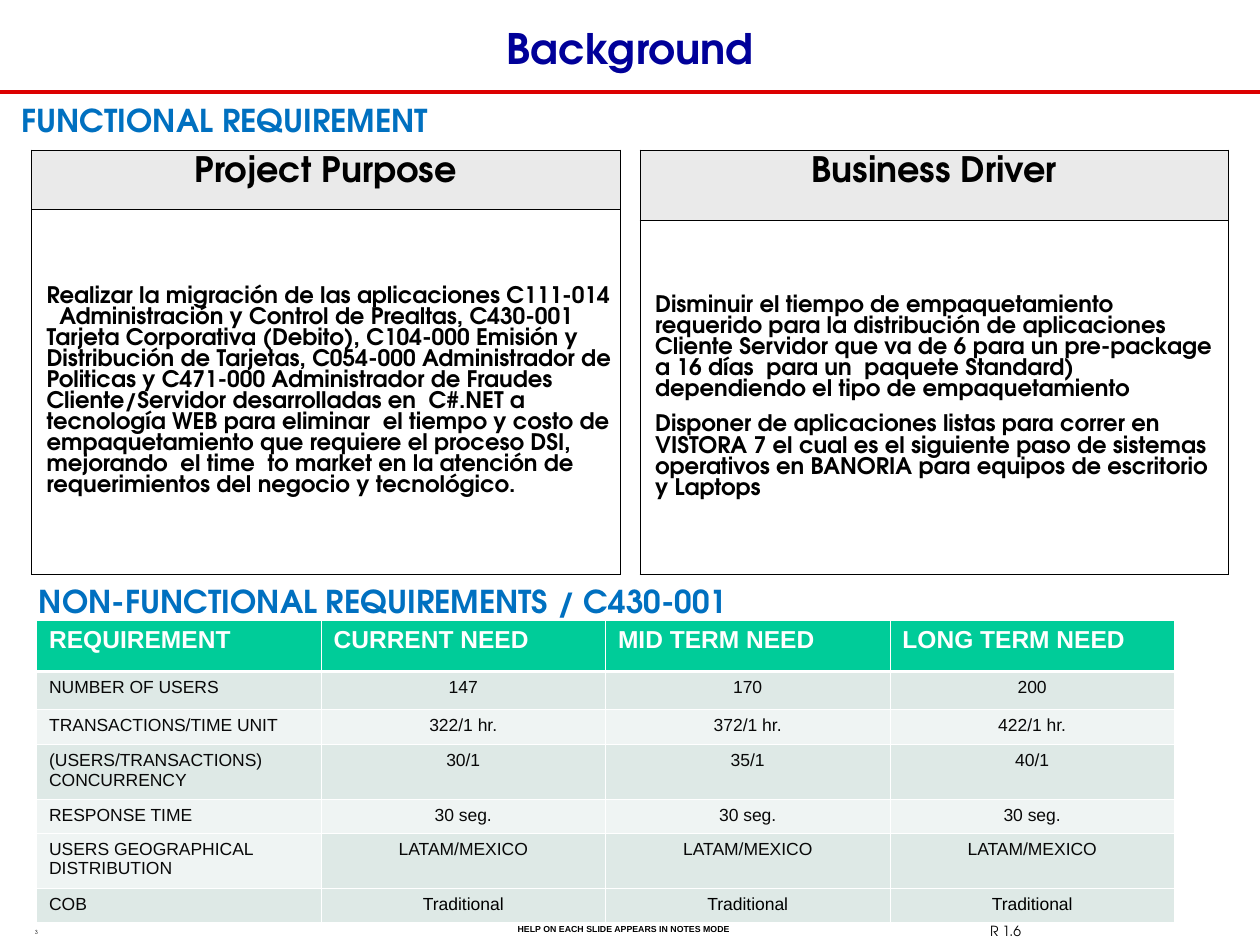
from lxml.etree import SubElement
from pptx import Presentation
from pptx.dml.color import RGBColor
from pptx.enum.shapes import MSO_CONNECTOR
from pptx.enum.text import MSO_ANCHOR, PP_ALIGN
from pptx.oxml.ns import qn
from pptx.util import Inches, Pt

BLACK = RGBColor(0, 0, 0)
WHITE = RGBColor(255, 255, 255)
NAVY = RGBColor(0, 0, 0x99)
RED = RGBColor(0xDC, 0, 0)
BLUE = RGBColor(0, 0x70, 0xC0)
GRAY = RGBColor(0xEA, 0xEA, 0xEA)
GREEN = RGBColor(0, 0xCC, 0x99)
DARK_BAND = RGBColor(0xDE, 0xE9, 0xE6)
LIGHT_BAND = RGBColor(0xEF, 0xF4, 0xF3)
INK = RGBColor(8, 8, 8)

DISPLAY = "TeX Gyre Adventor"
PLAIN = "Arial"
THIN, THICK = 0.45, 1.47

PURPOSE = [
    "Realizar la migración de las aplicaciones C111-014   Administración y Control de "
    "Prealtas, C430-001 Tarjeta Corporativa (Debito), C104-000 Emisión y Distribución de "
    "Tarjetas, C054-000 Administrador de Politicas y C471-000 Administrador de Fraudes "
    "Cliente/Servidor desarrolladas en  C#.NET a tecnología WEB para eliminar  el tiempo y "
    "costo de empaquetamiento que requiere el proceso DSI,  mejorando  el time  to market "
    "en la atención de requerimientos del negocio y tecnológico.",
]
DRIVER = [
    "Disminuir el tiempo de empaquetamiento requerido para la distribución de aplicaciones "
    "Cliente Servidor que va de 6 para un pre-package  a 16 días  para un  paquete Standard) "
    "dependiendo el tipo de empaquetamiento",
    "Disponer de aplicaciones listas para correr en VISTORA 7 el cual es el siguiente paso "
    "de sistemas operativos en BANORIA para equipos de escritorio y Laptops",
]
NEEDS = [
    ["REQUIREMENT", "CURRENT NEED", "MID TERM NEED", "LONG TERM NEED"],
    ["NUMBER OF USERS", "147", "170", "200"],
    ["TRANSACTIONS/TIME UNIT", "322/1 hr.", "372/1 hr.", "422/1 hr."],
    ["(USERS/TRANSACTIONS) CONCURRENCY", "30/1", "35/1", "40/1"],
    ["RESPONSE TIME"] + ["30 seg."] * 3,
    ["USERS GEOGRAPHICAL DISTRIBUTION"] + ["LATAM/MEXICO"] * 3,
    ["COB"] + ["Traditional"] * 3,
]
NEED_HEIGHTS = [0.41, 0.3, 0.28, 0.43, 0.27, 0.43, 0.27]


def write(frame, lines, size, color, font=DISPLAY, bold=False,
          align=PP_ALIGN.LEFT, spacing=None, gap=0):
    frame.text = "\n".join(lines)
    for index, para in enumerate(frame.paragraphs):
        para.alignment = align
        if spacing:
            para.line_spacing = spacing
        if index:
            para.space_before = Pt(gap)
        for span in para.runs:
            span.font.name = font
            span.font.size = Pt(size)
            span.font.bold = bold
            span.font.color.rgb = color


def add_text(page, left, top, width, height, text, size, color,
             wrap=True, anchor=MSO_ANCHOR.TOP, **style):
    box = page.shapes.add_textbox(Inches(left), Inches(top), Inches(width), Inches(height))
    frame = box.text_frame
    frame.word_wrap = wrap
    frame.vertical_anchor = anchor
    write(frame, [text], size, color, **style)


def add_rule(page, top):
    rule = page.shapes.add_connector(
        MSO_CONNECTOR.STRAIGHT, 0, Inches(top), Inches(10), Inches(top))
    rule.line.color.rgb = RED
    rule.line.width = Pt(2.5)
    SubElement(rule._element.spPr, qn("a:effectLst"))


def set_borders(cell, color, top=THIN, bottom=THIN):
    """Border elements have to come before the fill in the cell properties."""
    props = cell._tc.get_or_add_tcPr()
    widths = {"a:lnL": THIN, "a:lnR": THIN, "a:lnT": top, "a:lnB": bottom}
    for index, (tag, width) in enumerate(widths.items()):
        line = SubElement(props, qn(tag), w=str(Pt(width)))
        fill = SubElement(line, qn("a:solidFill"))
        SubElement(fill, qn("a:srgbClr"), val=str(color))
        props.insert(index, line)


def set_fill(cell, color):
    if color is None:
        cell.fill.background()
    else:
        cell.fill.solid()
        cell.fill.fore_color.rgb = color


def add_grid(page, left, top, widths, heights):
    table = page.shapes.add_table(
        len(heights), len(widths), Inches(left), Inches(top),
        Inches(sum(widths)), Inches(sum(heights))).table
    table.first_row = table.horz_banding = False
    for column, width in zip(table.columns, widths):
        column.width = Inches(width)
    for row, height in zip(table.rows, heights):
        row.height = Inches(height)
    return table


def add_panel(page, left, heading, lines, heights):
    """Headed panel: a shaded title row above one cell of body text."""
    table = add_grid(page, left, 1.19, [4.67], heights)
    head, body = table.cell(0, 0), table.cell(1, 0)
    for cell, fill in ((head, GRAY), (body, None)):
        cell.margin_left = cell.margin_right = Inches(0.02)
        set_fill(cell, fill)
        set_borders(cell, BLACK)
    write(head.text_frame, [heading], 20, BLACK, bold=True, align=PP_ALIGN.CENTER)
    body.margin_right = Inches(0.05)
    body.vertical_anchor = MSO_ANCHOR.MIDDLE
    write(body.text_frame, lines, 13, BLACK, bold=True, gap=8.1)
    for para in body.text_frame.paragraphs:
        para._p.get_or_add_pPr().set("marL", str(Inches(0.1)))


def add_needs_table(page):
    table = add_grid(page, 0.29, 4.92, [9.03 / 4] * 4, NEED_HEIGHTS)
    for r, values in enumerate(NEEDS):
        for c, value in enumerate(values):
            cell = table.cell(r, c)
            if r == 0:
                fill = GREEN
                write(cell.text_frame, [value], 14, WHITE, PLAIN, bold=True)
            else:
                light = r in (2, 4) or (r, c) == (5, 0)
                fill = LIGHT_BAND if light else DARK_BAND
                color = BLACK if r == 6 and c else INK
                align = PP_ALIGN.CENTER if c else PP_ALIGN.LEFT
                write(cell.text_frame, [value], 10, color, PLAIN, align=align)
            set_fill(cell, fill)
            set_borders(cell, WHITE, top=THICK if r == 1 else THIN,
                        bottom=THICK if r == 0 else THIN)


def main():
    deck = Presentation()
    deck.slide_width, deck.slide_height = Inches(10), Inches(7.5)
    page = deck.slides.add_slide(deck.slide_layouts[6])

    add_rule(page, 0.73)
    add_text(page, 7.76, 7.27, 0.63, 0.24, "R 1.6", 8, BLACK)
    add_text(page, 4.01, 7.28, 1.89, 0.19, "HELP ON EACH SLIDE APPEARS IN NOTES MODE",
             5, BLACK, wrap=False, font=PLAIN, bold=True)
    add_text(page, 0, 7.33, 0.58, 0.17, "3", 3.2, BLACK,
             align=PP_ALIGN.CENTER, spacing=0.8)
    add_text(page, 0, 0.03, 10, 0.69, "Background", 24, NAVY, bold=True,
             anchor=MSO_ANCHOR.MIDDLE, align=PP_ALIGN.CENTER)

    add_panel(page, 0.25, "Project Purpose", PURPOSE, [0.47, 2.9])
    add_panel(page, 5.08, "Business Driver", DRIVER, [0.56, 2.81])
    add_text(page, 0.07, 0.75, 3.73, 0.4, "FUNCTIONAL REQUIREMENT",
             18, BLUE, wrap=False, bold=True)
    add_text(page, 0.21, 4.57, 5.88, 0.4, "NON-FUNCTIONAL REQUIREMENTS / C430-001",
             18, BLUE, wrap=False, bold=True)
    add_needs_table(page)
    deck.save("out.pptx")


if __name__ == "__main__":
    main()
